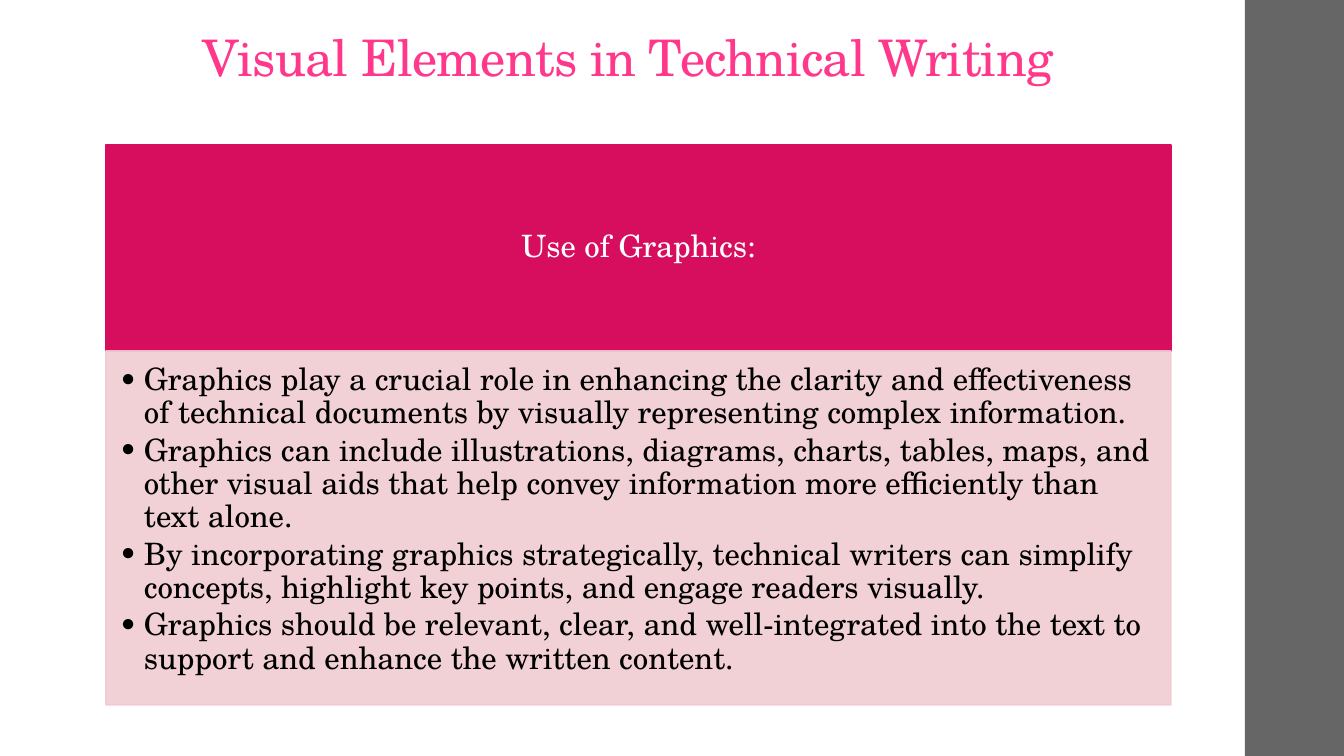
"""Build the slide on visual elements in technical writing."""
from lxml.etree import SubElement
from pptx import Presentation
from pptx.dml.color import RGBColor
from pptx.enum.shapes import MSO_SHAPE
from pptx.enum.text import MSO_ANCHOR, MSO_AUTO_SIZE, PP_ALIGN
from pptx.oxml.ns import qn
from pptx.util import Pt

PX = 12192000 / 1344
FONT = "TeX Gyre Schola"
COLORS = {
    "title": "FF388C",
    "header": "D70D5E",
    "body": "F0CCD2",
    "sidebar": "666666",
    "white": "FFFFFF",
    "black": "000000",
}
BULLETS = [
    "Graphics play a crucial role in enhancing the clarity and effectiveness of technical documents by visually representing complex information.",
    "Graphics can include illustrations, diagrams, charts, tables, maps, and other visual aids that help convey information more efficiently than text alone.",
    "By incorporating graphics strategically, technical writers can simplify concepts, highlight key points, and engage readers visually.",
    "Graphics should be relevant, clear, and well-integrated into the text to support and enhance the written content.",
]


def px(n):
    return int(n * PX)


def style_text(sp, size, color, align, anchor, insets):
    tf = sp.text_frame
    tf.word_wrap = True
    tf.auto_size = MSO_AUTO_SIZE.NONE
    tf.vertical_anchor = anchor
    tf.margin_left, tf.margin_top, tf.margin_right, tf.margin_bottom = map(px, insets)
    for p in tf.paragraphs:
        p.alignment = align
        p.line_spacing = 0.9
        p.space_before = Pt(0)
        for r in p.runs:
            r.font.name = FONT
            r.font.size = Pt(size)
            r.font.color.rgb = RGBColor.from_string(COLORS[color])


prs = Presentation()
prs.slide_width, prs.slide_height = px(1344), px(756)
s = prs.slides.add_slide(prs.slide_layouts[5])

title = s.shapes.title
title.left, title.top, title.width, title.height = map(px, (95, 27, 1065, 65))
title.text_frame.text = "Visual Elements in Technical Writing"
style_text(title, 36, "title", PP_ALIGN.CENTER, MSO_ANCHOR.BOTTOM, (10, 3, 10, 5))
title.text_frame.paragraphs[0].runs[0].font._element.set("spc", "-50")

panels = {}
for part, box in {
    "sidebar": (1245, 0, 99, 756),
    "header": (106, 145, 1065, 206),
    "body": (106, 351, 1065, 354),
}.items():
    sp = s.shapes.add_shape(MSO_SHAPE.RECTANGLE, *map(px, box))
    sp.shadow.inherit = False
    sp.fill.solid()
    sp.fill.fore_color.rgb = RGBColor.from_string(COLORS[part])
    if part == "sidebar":
        sp.line.fill.background()
    else:
        sp.line.color.rgb = RGBColor.from_string(COLORS[part])
        sp.line.width = Pt(1.1)
    panels[part] = sp

header, body = panels["header"], panels["body"]
header.text_frame.text = "Use of Graphics:"
style_text(header, 22, "white", PP_ALIGN.CENTER, MSO_ANCHOR.MIDDLE, (17, 10, 17, 10))

for clr in body._element.spPr.iter(qn("a:srgbClr")):
    SubElement(clr, qn("a:alpha"), val="90000")
body.text_frame.text = "\n".join(BULLETS)
style_text(body, 22, "black", PP_ALIGN.LEFT, MSO_ANCHOR.TOP, (13, 13, 17, 19))
for p in body.text_frame.paragraphs:
    p.space_after = Pt(3)
    pPr = p._p.get_or_add_pPr()
    pPr.set("marL", str(px(25)))
    pPr.set("indent", str(-px(25)))
    SubElement(pPr, qn("a:buFont"), typeface=FONT)
    SubElement(pPr, qn("a:buChar"), char="•")

prs.save("out.pptx")
